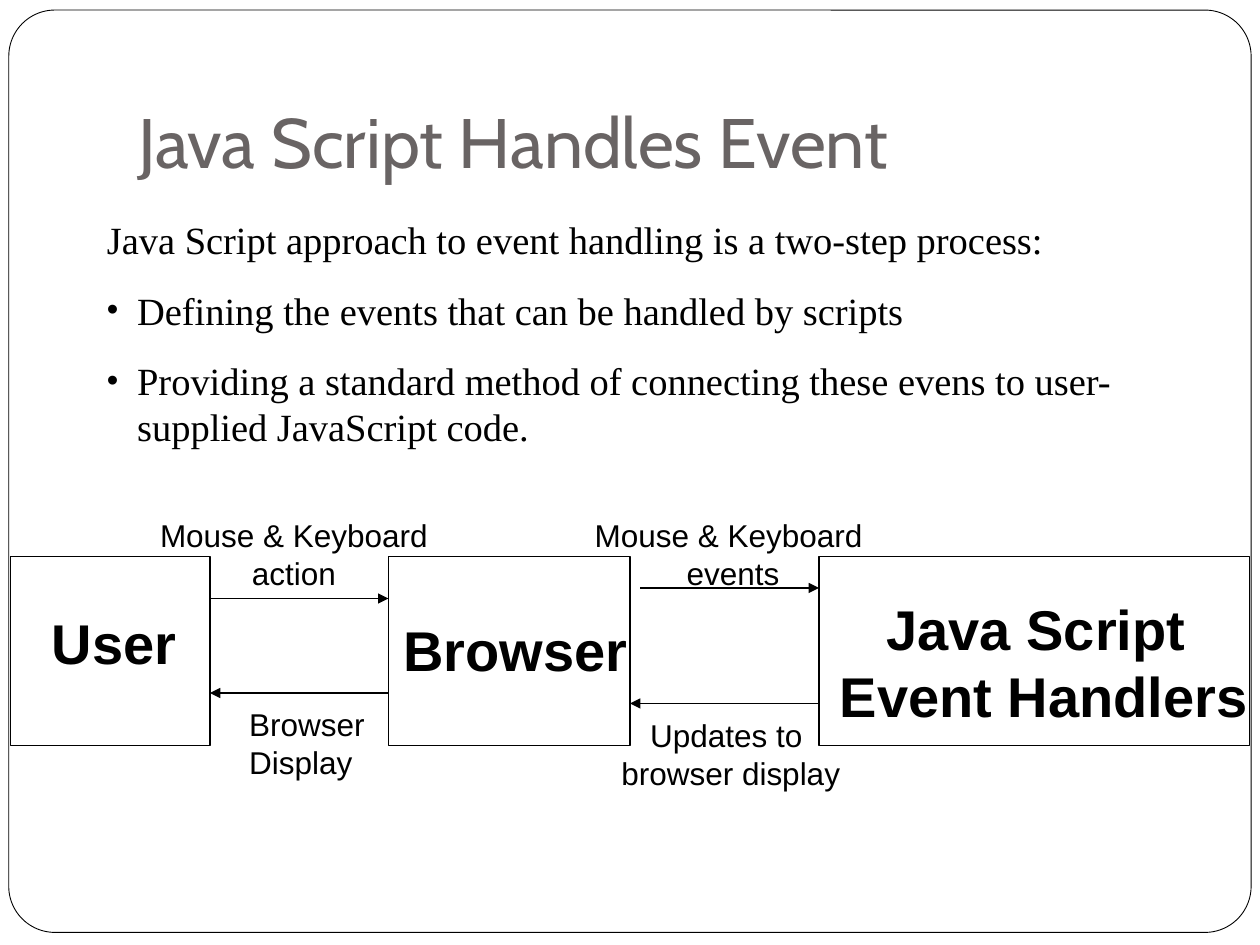
from lxml.etree import SubElement
from pptx import Presentation
from pptx.dml.color import RGBColor
from pptx.enum.shapes import MSO_CONNECTOR as Connector, MSO_SHAPE as Shape
from pptx.enum.text import MSO_ANCHOR as Anchor, MSO_AUTO_SIZE as AutoSize, PP_ALIGN as Align
from pptx.oxml.ns import qn
from pptx.util import Inches, Pt

BLACK = RGBColor(0x00, 0x00, 0x00)
WHITE = RGBColor(0xFF, 0xFF, 0xFF)
GRAY = RGBColor(0x69, 0x64, 0x64)
CELLS_PER_INCH = 12

INTRO = "Java Script approach to event handling is a two-step process:"
STEPS = [
    "Defining the events that can be handled by scripts",
    "Providing a standard method of connecting these evens to user-supplied JavaScript code.",
]
NAMES = [
    ((3.72, 57.4, 14.28, 7.68), ["User"]),
    ((37.2, 58, 23.76, 7.68), ["Browser"]),
    ((78.72, 56.04, 41.4, 14.04), ["Java Script ", "Event Handlers"]),
]
ACTORS = [(1, 19), (37, 23), (78, 41)]
ARROWS = [(20, 37, 57), (37, 20, 66), (61, 78, 56), (78, 60, 67)]
LABELS = [
    ((22.56, 66.6, 14.4, 8.4), ["Browser", "Display"], Align.LEFT),
    ((13, 48.6, 30, 8.4), ["Mouse & Keyboard", "action"], Align.CENTER),
    ((56.6, 67.6, 26, 8.4), ["Updates to ", "browser display"], Align.CENTER),
    ((54.4, 48.6, 30, 8.4), ["Mouse & Keyboard", " events"], Align.CENTER),
]


def grid(*cells):
    """Turn counts of grid cells into lengths."""
    return [Inches(cell / CELLS_PER_INCH) for cell in cells]


def add_span(para, text, font, size, color=BLACK, bold=False):
    """Add one formatted run to a paragraph."""
    span = para.add_run()
    span.text = text
    span.font.name = font
    span.font.size = Pt(size)
    span.font.bold = bold
    span.font.color.rgb = color


def add_outline(page, kind, place, width):
    """Add a black outlined shape without fill."""
    shape = page.shapes.add_shape(kind, *grid(*place))
    shape.shadow.inherit = False
    shape.fill.background()
    shape.line.color.rgb = BLACK
    shape.line.width = Pt(width)
    return shape


def add_frame(page):
    """Add the rounded border around the page."""
    frame = add_outline(page, Shape.ROUNDED_RECTANGLE, (0.84, 0.96, 118.32, 87.84), 0.5)
    frame.adjustments[0] = 0.05
    frame.fill.solid()
    frame.fill.fore_color.rgb = WHITE


def set_title(title, text):
    """Place and format the title placeholder."""
    title.left, title.top, title.width, title.height = grid(12, 3.6, 102, 15)
    frame = title.text_frame
    frame.vertical_anchor = Anchor.BOTTOM
    frame.margin_bottom = Inches(0.1)
    para = frame.paragraphs[0]
    para.alignment = Align.LEFT
    add_span(para, text, "Cabin", 40, GRAY)


def set_bullet(para):
    """Give a paragraph a hanging round bullet."""
    properties = para._p.get_or_add_pPr()
    indent = Inches(0.24)
    properties.set("marL", str(indent))
    properties.set("indent", str(-indent))
    SubElement(properties, qn("a:buSzPct"), val="85000")
    SubElement(properties, qn("a:buFont"), typeface="Arial")
    SubElement(properties, qn("a:buChar"), char="•")


def add_body(page):
    """Add the introduction and its bulleted steps."""
    frame = page.shapes.add_textbox(*grid(9, 20, 105, 23.4)).text_frame
    frame.word_wrap = True
    for index, text in enumerate([INTRO, *STEPS]):
        para = frame.add_paragraph() if index else frame.paragraphs[0]
        para.space_before = Pt(13.8)
        if index:
            set_bullet(para)
        add_span(para, text, "Times New Roman", 22)


def add_label(page, place, lines, size, align=Align.CENTER, bold=False):
    """Add an unwrapped label with one paragraph per line."""
    frame = page.shapes.add_textbox(*grid(*place)).text_frame
    frame.word_wrap = False
    frame.auto_size = AutoSize.SHAPE_TO_FIT_TEXT
    for index, text in enumerate(lines):
        para = frame.add_paragraph() if index else frame.paragraphs[0]
        para.alignment = align
        add_span(para, text, "Arial", size, bold=bold)


def add_arrow(page, start, end, row):
    """Add a horizontal arrow between two columns."""
    arrow = page.shapes.add_connector(Connector.STRAIGHT, *grid(start, row, end, row))
    arrow.line.color.rgb = BLACK
    arrow.line.width = Pt(0.75)
    SubElement(arrow.line._get_or_add_ln(), qn("a:tailEnd"), type="triangle")
    SubElement(arrow._element.spPr, qn("a:effectLst"))


def main():
    """Build the slide and save the deck."""
    deck = Presentation()
    deck.slide_width, deck.slide_height = Inches(10), Inches(7.5)
    page = deck.slides.add_slide(deck.slide_layouts[5])
    add_frame(page)
    title = page.shapes.title
    set_title(title, "Java Script Handles Event")
    page.shapes._spTree.append(title._element)
    add_body(page)
    for place, lines in NAMES:
        add_label(page, place, lines, 32, bold=True)
    for column, width in ACTORS:
        add_outline(page, Shape.RECTANGLE, (column, 53, width, 18), 0.75)
    for start, end, row in ARROWS:
        add_arrow(page, start, end, row)
    for place, lines, align in LABELS:
        add_label(page, place, lines, 18, align)
    deck.save("out.pptx")


if __name__ == "__main__":
    main()
